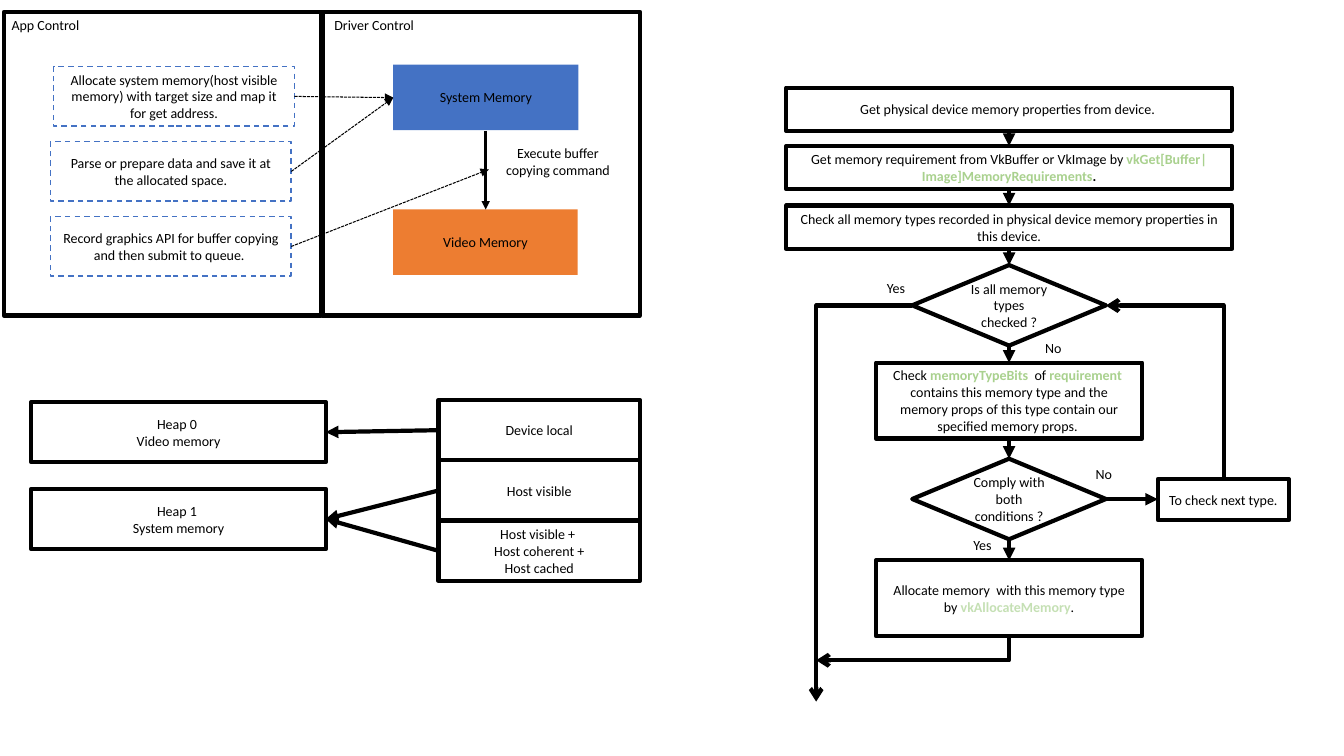
from pptx import Presentation
from pptx import util as u
from pptx.dml.color import RGBColor
from pptx.enum import dml, shapes, text
from pptx.oxml.ns import qn
from lxml import etree

BLACK = RGBColor(0x00, 0x00, 0x00)
BLUE = RGBColor(0x44, 0x72, 0xC4)
ORANGE = RGBColor(0xED, 0x7D, 0x31)
GREEN = RGBColor(0xA9, 0xD1, 0x8E)
PALE_GREEN = RGBColor(0xC5, 0xE0, 0xB4)
RECTANGLE = shapes.MSO_SHAPE.RECTANGLE
DIAMOND = shapes.MSO_SHAPE.DIAMOND
DASH = dml.MSO_LINE.DASH
SHORT_DASH = dml.MSO_LINE.SQUARE_DOT


def write(shape, content, align=text.PP_ALIGN.CENTER):
    """Content is a string or a list of (words, colour, bold) runs."""
    if isinstance(content, str):
        content = [(content, BLACK, False)]
    shape.text_frame.word_wrap = True
    paragraph = shape.text_frame.paragraphs[0]
    paragraph.alignment = align
    for words, color, bold in content:
        for index, line in enumerate(words.split("\n")):
            if index:
                paragraph.add_line_break()
            run = paragraph.add_run()
            run.text = line
            run.font.name = "Calibri"
            run.font.size = u.Pt(10)
            run.font.bold = bold
            run.font.color.rgb = color


def add_box(slide, frame, content="", kind=RECTANGLE, fill=None,
            line=BLACK, width=3, dash=None):
    shape = slide.shapes.add_shape(kind, *map(u.Cm, frame))
    shape.shadow.inherit = False
    if fill is None:
        shape.fill.background()
        shape.line.color.rgb = line
        shape.line.width = u.Pt(width)
        if dash:
            shape.line.dash_style = dash
    else:
        shape.fill.solid()
        shape.fill.fore_color.rgb = fill
        shape.line.fill.background()
    shape.text_frame.vertical_anchor = text.MSO_ANCHOR.MIDDLE
    if content:
        write(shape, content)


def add_label(slide, frame, content, align=text.PP_ALIGN.CENTER):
    write(slide.shapes.add_textbox(*map(u.Cm, frame)), content, align)


def add_line(slide, start, end, width=3, dash=None, kind=shapes.MSO_CONNECTOR.STRAIGHT,
             tip="tailEnd", head="triangle"):
    connector = slide.shapes.add_connector(kind, *map(u.Cm, start + end))
    connector.line.color.rgb = BLACK
    connector.line.width = u.Pt(width)
    if dash:
        connector.line.dash_style = dash
    properties = connector._element.spPr
    etree.SubElement(properties.find(qn("a:ln")), qn(f"a:{tip}"), type=head)
    etree.SubElement(properties, qn("a:effectLst"))
    return connector


def add_bend(slide, start, end, tip):
    """One corner: runs across from start, then up or down to end."""
    connector = add_line(slide, start, end, kind=shapes.MSO_CONNECTOR.ELBOW,
                         tip=tip, head="arrow")
    geometry = connector._element.spPr.find(qn("a:prstGeom"))
    geometry.set("prst", "bentConnector2")


def add_heaps(slide):
    types_left, types_top, height = 11.05, 10.08, 1.52
    heap_left, heap_width = 0.79, 7.42
    heap_tops = [10.13, 12.32]
    for top, name in zip(heap_tops, ["Heap 0 \nVideo memory", "Heap 1 \nSystem memory"]):
        add_box(slide, (heap_left, top, heap_width, height), name)

    # Memory types, each pointing at its heap
    memory_types = [("Device local", 0), ("Host visible", 1),
                    ("Host visible + \nHost coherent +\nHost cached", 1)]
    for index, (name, heap) in enumerate(memory_types):
        top = types_top + index * height
        add_box(slide, (types_left, top, 5.08, height), name)
        add_line(slide, (types_left, top + height / 2),
                 (heap_left + heap_width, heap_tops[heap] + height / 2))


def add_upload(slide):
    # Panels and their titles
    for left in (0.1, 8.13):
        add_box(slide, (left, 0.3, 8, 7.65))
    add_label(slide, (0, 0.28, 2.29, 0.89), "App Control")
    add_label(slide, (7.87, 0.28, 3.12, 0.89), "Driver Control")

    # Memories
    add_box(slide, (9.91, 1.63, 4.67, 1.65), "System Memory", fill=BLUE)
    add_box(slide, (9.91, 5.28, 4.65, 1.65), "Video Memory", fill=ORANGE)
    add_line(slide, (12.24, 3.3), (12.24, 5.28), width=2)
    add_label(slide, (12.5, 3.51, 3.12, 1.55), "Execute buffer copying command")

    # Application steps
    width, height = 6.07, 1.5
    steps = [
        (1.35, "Allocate system memory(host visible memory) with target size "
               "and map it for get address.", (9.91, 2.46)),
        (1.27, "Parse or prepare data and save it at the allocated space.", (9.91, 2.46)),
        (1.27, "Record graphics API for buffer copying and then submit to queue. ",
         (12.32, 4.27)),
    ]
    for index, (left, words, target) in enumerate(steps):
        top = 1.68 + index * 1.89
        add_box(slide, (left, top, width, height), words, line=BLUE, width=1, dash=DASH)
        add_line(slide, (left + width, top + height / 2), target,
                 width=0.75, dash=SHORT_DASH)


def add_flow(slide):
    center = 25.43
    wide, decision, action = (11.23, 1.09), (4.88, 2.03), (6.71, 1.91)
    stages = [
        (2.21, wide, RECTANGLE, "Get physical device memory properties from device. "),
        (3.68, wide, RECTANGLE, [
            ("Get memory requirement from VkBuffer or VkImage by ", BLACK, False),
            ("vkGet[Buffer|Image]MemoryRequirements", GREEN, True),
            (".", BLACK, True)]),
        (5.18, wide, RECTANGLE, "Check all memory types recorded in physical device "
                                "memory properties in this device."),
        (6.68, decision, DIAMOND, "Is all memory types checked ?"),
        (9.14, action, RECTANGLE, [
            ("Check ", BLACK, False), ("memoryTypeBits  ", GREEN, True),
            ("of ", BLACK, False), ("requirement ", GREEN, True),
            (" contains this memory type and the memory props of this type "
             "contain our specified memory props. ", BLACK, False)]),
        (11.56, decision, DIAMOND, "Comply with both conditions ?"),
        (14.12, action, RECTANGLE, [
            ("Allocate memory  with this memory type by ", BLACK, False),
            ("vkAllocateMemory", PALE_GREEN, True), (".", BLACK, False)]),
    ]
    bottom = None
    for top, (width, height), kind, content in stages:
        add_box(slide, (center - width / 2, top, width, height), content, kind)
        if bottom:
            add_line(slide, (center, bottom), (center, top))
        bottom = top + height

    # Next type, loop back and exit
    left, right, exit_left = center - 2.44, center + 2.44, 20.57
    add_box(slide, (29.18, 12.07, 3.3, 1.04), "To check next type.")
    add_line(slide, (right, 12.58), (29.18, 12.58))
    add_bend(slide, (right, 7.7), (30.84, 12.07), "headEnd")
    add_bend(slide, (left, 7.7), (exit_left, 17.68), "tailEnd")
    add_bend(slide, (exit_left, 16.64), (center, bottom), "headEnd")

    # Branch answers
    for x, y, answer in [(22.1, 6.93, "Yes"), (26.09, 8.43, "No"),
                         (27.36, 11.61, "No"), (24.28, 13.39, "Yes")]:
        add_label(slide, (x, y, 1.1, 0.69), answer, text.PP_ALIGN.LEFT)


def main():
    presentation = Presentation()
    presentation.slide_width = u.Cm(33.87)
    presentation.slide_height = u.Cm(19.05)
    slide = presentation.slides.add_slide(presentation.slide_layouts[6])
    add_heaps(slide)
    add_upload(slide)
    add_flow(slide)
    presentation.save("out.pptx")


if __name__ == "__main__":
    main()
